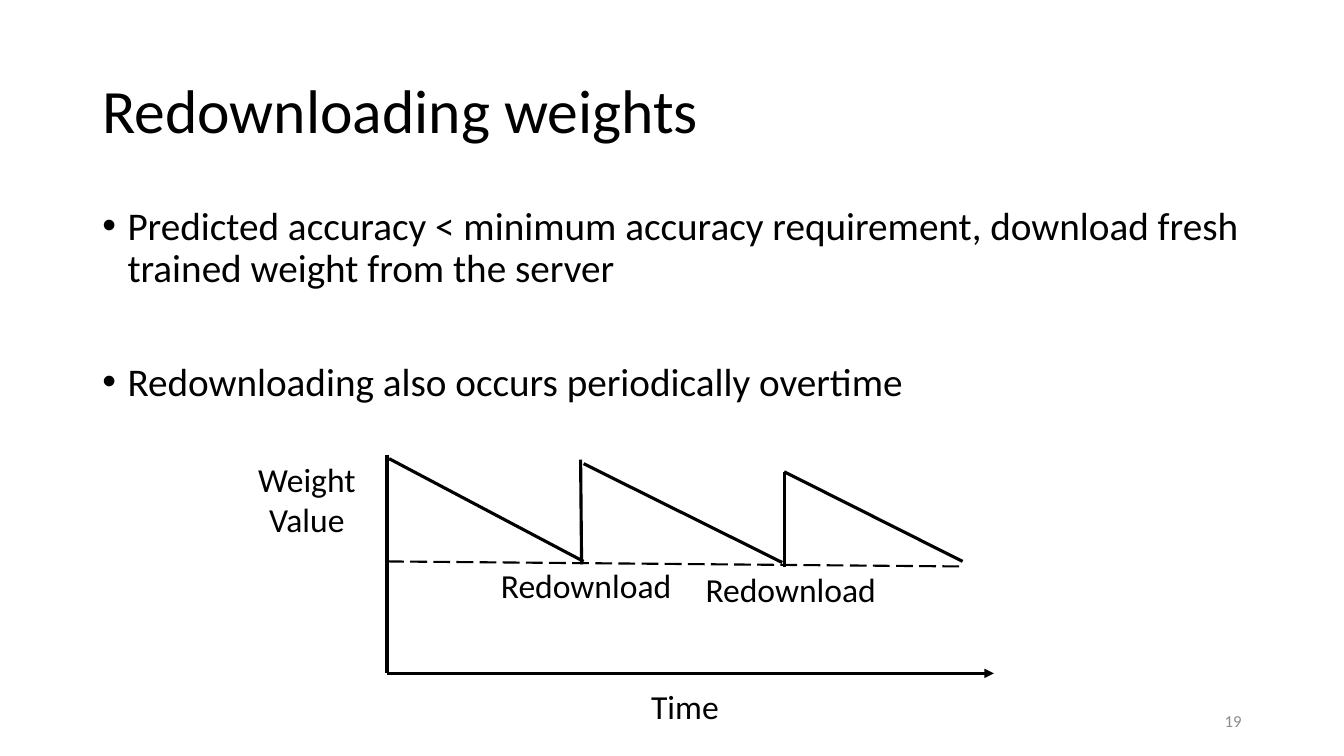
from pptx import Presentation
from pptx.dml.color import RGBColor
from pptx.enum.dml import MSO_LINE_DASH_STYLE as DASH
from pptx.enum.shapes import MSO_CONNECTOR
from pptx.enum.text import MSO_ANCHOR as ANCHOR, PP_ALIGN as ALIGN
from pptx.oxml.ns import qn
from pptx.util import Inches, Pt
from lxml.etree import SubElement

COLORS = {"ink": "000000", "muted": "8C8C8C"}
COLUMNS, ROWS = 40, 22.5
LABEL_W, LABEL_H = 8.07, 1.5


class SlideBuilder:
    """Draws on one slide; all positions are in grid columns and rows."""

    font = "Calibri"

    def __init__(self, prs):
        self.col = prs.slide_width / COLUMNS
        self.row = prs.slide_height / ROWS
        self.s = prs.slides.add_slide(prs.slide_layouts[6])

    def x(self, columns):
        return round(columns * self.col)

    def y(self, rows):
        return round(rows * self.row)

    def text(self, text, left, top, width, height, size,
             align=ALIGN.LEFT, anchor=ANCHOR.TOP, color="ink", spacing=1.0):
        sp = self.s.shapes.add_textbox(
            self.x(left), self.y(top), self.x(width), self.y(height))
        tf = sp.text_frame
        tf.word_wrap = True
        tf.vertical_anchor = anchor
        tf.text = text
        for p in tf.paragraphs:
            p.alignment = align
            p.line_spacing = spacing
            for r in p.runs:
                r.font.name = self.font
                r.font.size = Pt(size)
                r.font.color.rgb = RGBColor.from_string(COLORS[color])
        return tf

    def label(self, text, left, top, height=LABEL_H):
        self.text(text, left, top, LABEL_W, height, 24, ALIGN.CENTER)

    def bullets(self, items, left, top, width, height, size, gap):
        tf = self.text("\n".join(items), left, top, width, height, size, spacing=0.9)
        for i, p in enumerate(tf.paragraphs):
            p.space_before = Pt(gap if i else 10)
            pPr = p._p.get_or_add_pPr()
            pPr.set("marL", str(Inches(0.25)))
            pPr.set("indent", str(-Inches(0.25)))
            SubElement(pPr, qn("a:buFont"), typeface="Arial")
            SubElement(pPr, qn("a:buChar"), char="•")

    def line(self, start, end, width=2.25, dash=None, arrow=False):
        c = self.s.shapes.add_connector(
            MSO_CONNECTOR.STRAIGHT, self.x(start[0]), self.y(start[1]),
            self.x(end[0]), self.y(end[1]))
        c.line.width = Pt(width)
        c.line.color.rgb = RGBColor.from_string(COLORS["ink"])
        if dash:
            c.line.dash_style = dash
        if arrow:
            SubElement(c.line._get_or_add_ln(), qn("a:tailEnd"), type="triangle")
        SubElement(c._element.spPr, qn("a:effectLst"))


def main():
    prs = Presentation()
    prs.slide_width, prs.slide_height = Inches(13.333), Inches(7.5)
    b = SlideBuilder(prs)

    b.text("Redownloading weights", 2.75, 1.2, 34.5, 4.35, 44,
           anchor=ANCHOR.MIDDLE, spacing=0.9)
    b.bullets(["Predicted accuracy < minimum accuracy requirement, "
               "download fresh trained weight from the server",
               "Redownloading also occurs periodically overtime"],
              2.75, 6, 34.5, 14.28, 28, gap=51)
    b.text("19", 28.25, 20.85, 9, 1.2, 12, ALIGN.RIGHT, ANCHOR.MIDDLE, "muted")

    axis_origin = (11.52, 20.04)
    b.line(axis_origin, (29.58, 20.04), arrow=True)
    b.line((11.52, 13.53), axis_origin)
    b.label("Weight\nValue", 5.1, 13.5, 2.73)
    b.label("Time", 16.35, 20.28)

    decays = [((11.58, 13.65), (17.37, 16.71)),
              ((17.37, 13.8), (23.28, 16.74)),
              ((23.34, 14.04), (28.65, 16.71))]
    jumps = [((17.31, 16.8), (17.28, 13.68)),
             ((23.34, 16.89), (23.34, 14.04))]
    for start, end in decays + jumps:
        b.line(start, end)
    b.line((11.52, 16.71), (28.65, 16.86), width=1.5, dash=DASH.LONG_DASH)
    for left, top in [(13.41, 16.68), (19.5, 16.77)]:
        b.label("Redownload", left, top)

    prs.save("out.pptx")


if __name__ == "__main__":
    main()
